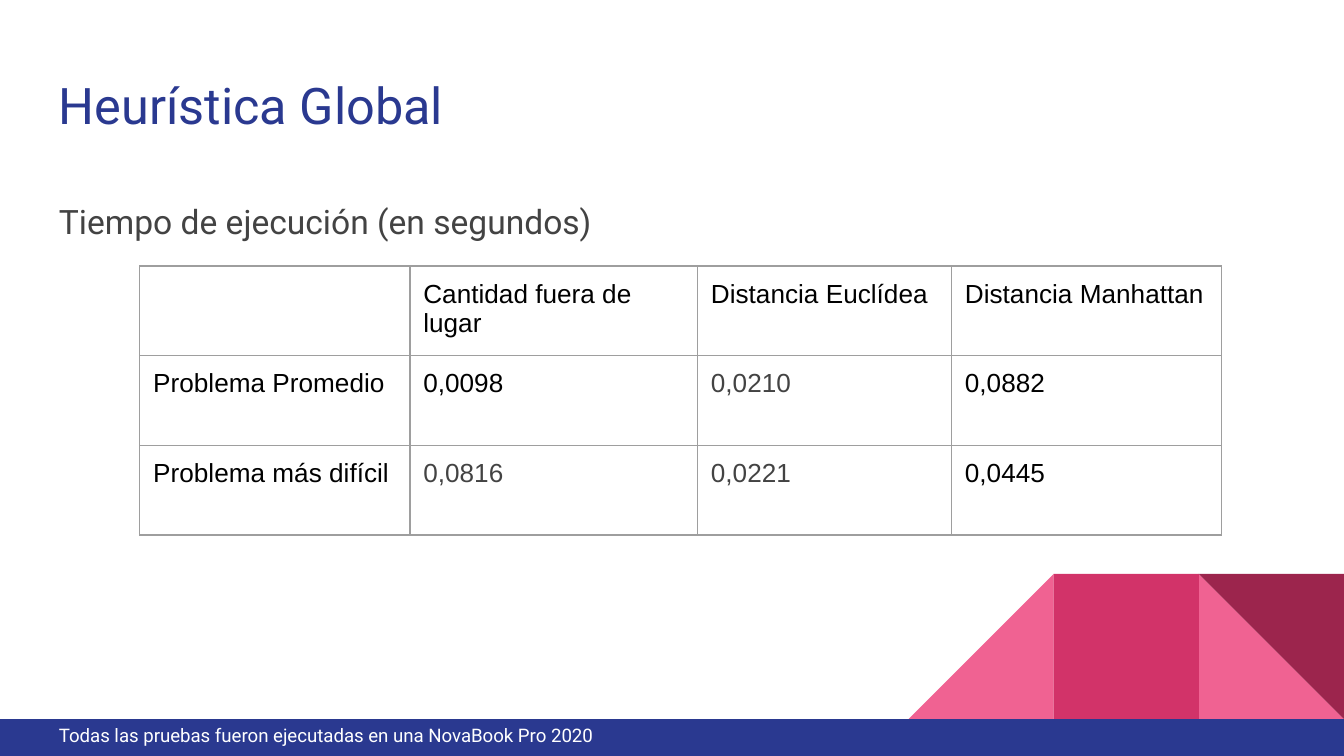
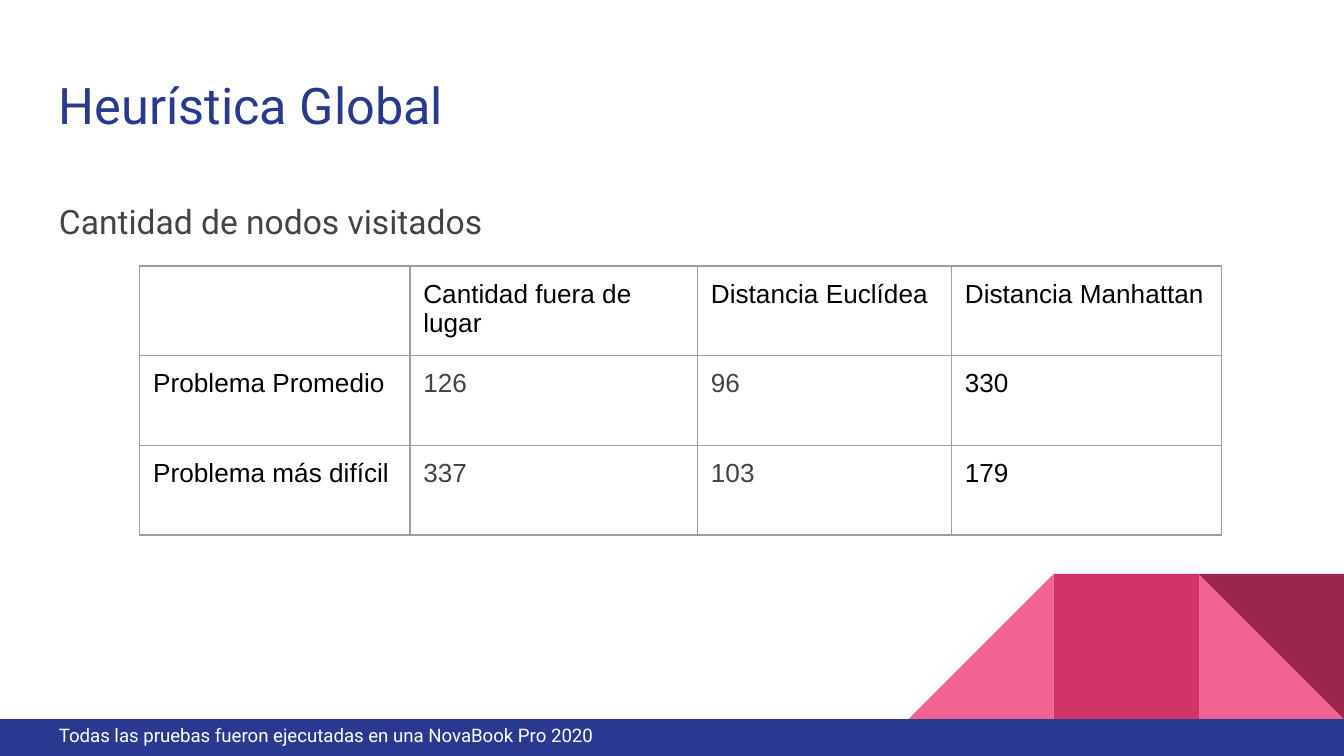
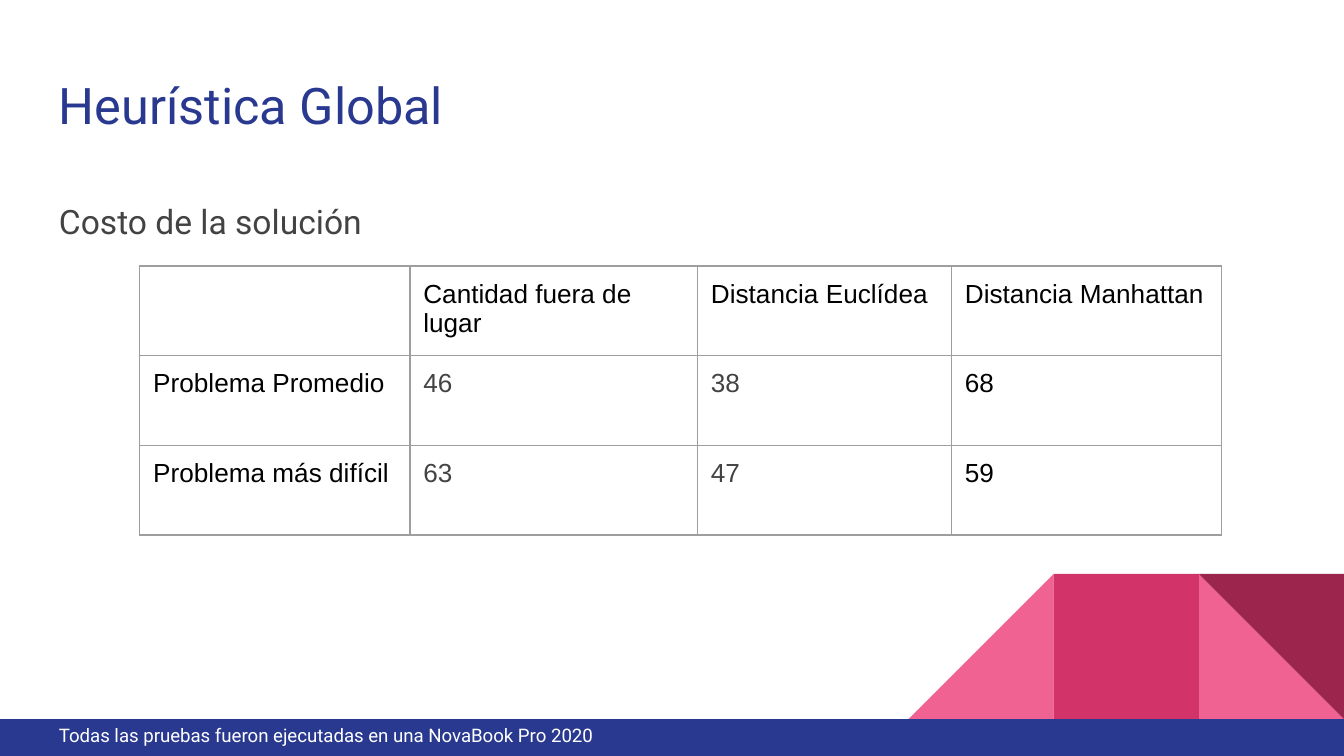
"""Build three result slides comparing heuristics in one table each."""
import pptx
import pptx.dml.color
import pptx.enum.shapes
import pptx.oxml.ns
import pptx.util
from lxml import etree

RGBColor = pptx.dml.color.RGBColor
SHAPE = pptx.enum.shapes.MSO_SHAPE
BLUE = RGBColor(0x2A, 0x39, 0x90)
PINK = RGBColor(0xF0, 0x62, 0x92)
RASPBERRY = RGBColor(0xD2, 0x33, 0x69)
WINE = RGBColor(0x9C, 0x25, 0x4D)
GRAY = RGBColor(0x43, 0x43, 0x43)
BLACK = RGBColor(0, 0, 0)
WHITE = RGBColor(0xFF, 0xFF, 0xFF)
BORDER = "9E9E9E"

COLS, ROWS = 100, 56.25
INSET = 1
MARGIN = 3.4
TILE = 10.8
BAND_TOP = 53.5
TABLE_COLS = (20.1, 21.4, 18.9, 20.1)
ROW_HEIGHT = 6.67

TITLE = "Heurística Global"
FOOTER = "Todas las pruebas fueron ejecutadas en una NovaBook Pro 2020"
HEADER = ("", "Cantidad fuera de lugar", "Distancia Euclídea", "Distancia Manhattan")
PROBLEMS = ("Problema Promedio", "Problema más difícil")
RESULTS = (
    ("Tiempo de ejecución (en segundos)",
     (("0,0098", "0,0210", "0,0882"), ("0,0816", "0,0221", "0,0445")),
     {(1, 2), (2, 1), (2, 2)}),
    ("Cantidad de nodos visitados",
     (("126", "96", "330"), ("337", "103", "179")),
     {(1, 1), (1, 2), (2, 1), (2, 2)}),
    ("Costo de la solución",
     (("46", "38", "68"), ("63", "47", "59")),
     {(1, 1), (1, 2), (2, 1), (2, 2)}),
)


def grid(units):
    return pptx.util.Inches(units / 10)


def write(tf, text, size=14, color=BLACK, font="Arial", spacing=None):
    tf.word_wrap = True
    p = tf.paragraphs[0]
    p.line_spacing = spacing
    r = p.add_run()
    r.text = text
    r.font.size = pptx.util.Pt(size)
    r.font.name = font
    r.font.color.rgb = color


def set_margins(frame):
    frame.margin_left = frame.margin_right = grid(INSET)
    frame.margin_top = frame.margin_bottom = grid(INSET)


class Deck:
    def __init__(self):
        self.prs = pptx.Presentation()
        self.prs.slide_width = grid(COLS)
        self.prs.slide_height = grid(ROWS)
        self.s = None

    def slide(self):
        self.s = self.prs.slides.add_slide(self.prs.slide_layouts[6])
        self.s.background.fill.solid()
        self.s.background.fill.fore_color.rgb = WHITE

    def shape(self, kind, x, y, w, h, color, rotation=0):
        sp = self.s.shapes.add_shape(kind, grid(x), grid(y), grid(w), grid(h))
        sp.shadow.inherit = False
        sp.fill.solid()
        sp.fill.fore_color.rgb = color
        sp.line.fill.background()
        sp.rotation = rotation

    def text(self, text, y, h, w=COLS - 2 * MARGIN, **style):
        sp = self.s.shapes.add_textbox(grid(MARGIN), grid(y), grid(w), grid(h))
        set_margins(sp.text_frame)
        write(sp.text_frame, text, font="Roboto", **style)

    def decoration(self):
        tiles = (
            (SHAPE.RIGHT_TRIANGLE, 1, PINK, 0),
            (SHAPE.RIGHT_TRIANGLE, 3, PINK, 270),
            (SHAPE.RECTANGLE, 2, RASPBERRY, 0),
            (SHAPE.RIGHT_TRIANGLE, 1, WINE, 180),
        )
        for kind, from_right, color, rotation in tiles:
            self.shape(kind, COLS - from_right * TILE, BAND_TOP - TILE,
                       TILE, TILE, color, rotation)
        self.shape(SHAPE.RECTANGLE, 0, BAND_TOP, COLS, ROWS - BAND_TOP, BLUE)

    def cell(self, cell, text, color):
        set_margins(cell)
        write(cell.text_frame, text, color=color)
        tc_pr = cell._tc.get_or_add_tcPr()
        for side in ("lnL", "lnR", "lnT", "lnB"):
            qn = pptx.oxml.ns.qn
            ln = etree.SubElement(tc_pr, qn("a:" + side), w=str(pptx.util.Pt(0.75)))
            fill = etree.SubElement(ln, qn("a:solidFill"))
            etree.SubElement(fill, qn("a:srgbClr"), val=BORDER)
        cell.fill.background()

    def table(self, rows, gray_cells):
        table = self.s.shapes.add_table(
            len(rows), len(TABLE_COLS), grid(10.4), grid(19.8),
            grid(sum(TABLE_COLS)), grid(ROW_HEIGHT * len(rows))).table
        table.first_row = table.horz_banding = False
        for column, width in zip(table.columns, TABLE_COLS):
            column.width = grid(width)
        for i, row in enumerate(rows):
            table.rows[i].height = grid(ROW_HEIGHT)
            for j, text in enumerate(row):
                color = GRAY if (i, j) in gray_cells else BLACK
                self.cell(table.cell(i, j), text, color)


def main():
    deck = Deck()
    for subtitle, values, gray_cells in RESULTS:
        deck.slide()
        deck.decoration()
        deck.text(TITLE, 4.5, 6.6, size=27, color=BLUE)
        deck.text(subtitle, 13.5, 36.5, size=18, color=GRAY, spacing=1.15)
        rows = [HEADER] + [(name, *row) for name, row in zip(PROBLEMS, values)]
        deck.table(rows, gray_cells)
        deck.text(FOOTER, 53, 3.7, w=76, size=10, color=WHITE)
    deck.prs.save("out.pptx")


if __name__ == "__main__":
    main()
